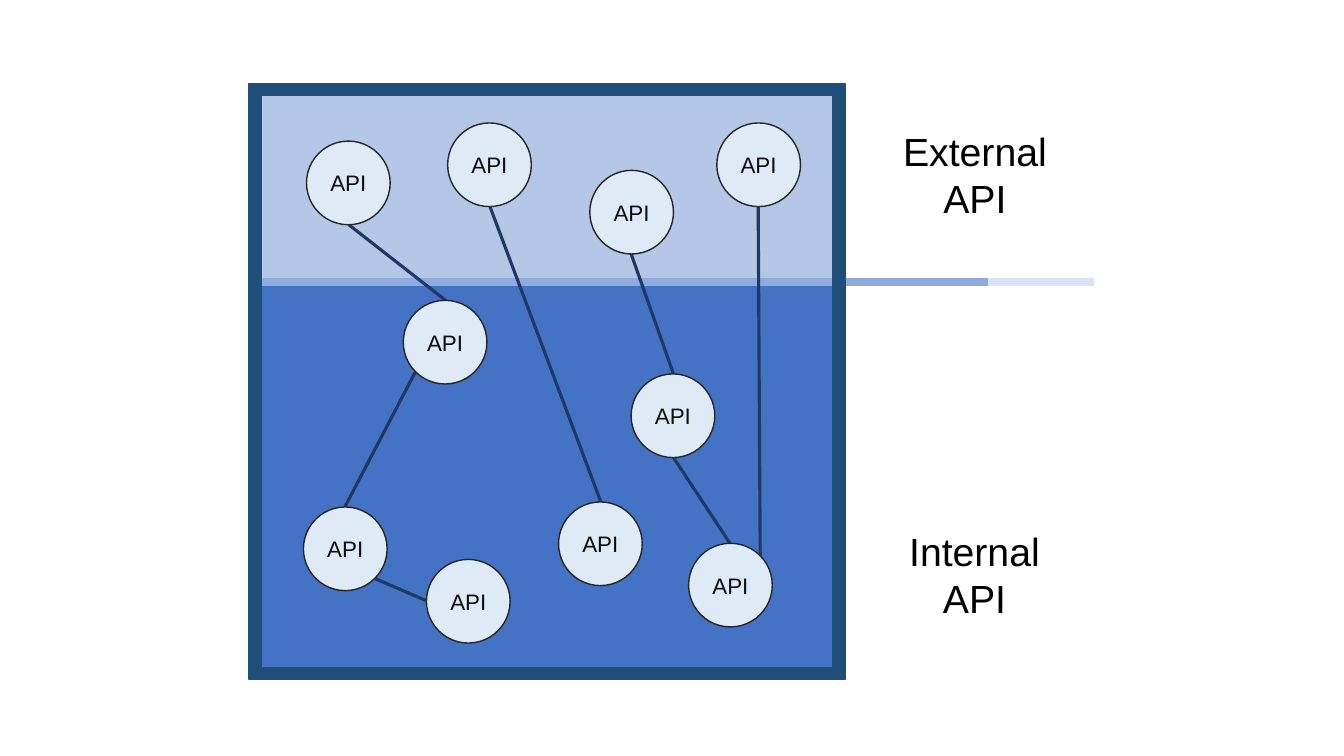
import math
import pptx
import pptx.util
import pptx.dml.color
import pptx.enum.shapes
import pptx.enum.text
import pptx.oxml.ns
import lxml.etree

PX = 9144
SIZE = 83
SHAPE = pptx.enum.shapes.MSO_SHAPE
INK = {
    "air": "B4C7E7",
    "water": "4472C4",
    "level": "8FAADC",
    "fade": "DAE3F3",
    "link": "203864",
    "node": "DEEBF7",
    "edge": "262626",
    "text": "0D0D0D",
    "label": "000000",
    "frame": "1F4E79",
}
NODES = {
    "swim": (307, 415),
    "floor": (176, 472),
    "rock": (54, 420),
    "reef": (436, 456),
    "west": (57, 57),
    "north": (197, 39),
    "mid": (338, 86),
    "east": (464, 39),
    "hub": (153, 215),
    "relay": (379, 288),
}
ANGLES = {"top": 270, "left": 180, "low": 90, "low left": 135,
          "low right": 45, "top right": 315}
LINKS = [
    ("floor", "left", "rock", "low right"),
    ("rock", "top", "hub", "low left"),
    ("north", "low", "swim", "top"),
    ("relay", "low", "reef", "top"),
    ("relay", "top", "mid", "low"),
    ("hub", "top", "west", "low"),
    ("east", "low", "reef", "top right"),
]


def emu(*sizes):
    return [pptx.util.Emu(size * PX) for size in sizes]


def color(name):
    return pptx.dml.color.RGBColor.from_string(INK[name])


def add_form(shapes, kind, box, fill, edge=None):
    form = shapes.add_shape(kind, *emu(*box))
    form.shadow.inherit = False
    form.fill.solid()
    form.fill.fore_color.rgb = color(fill)
    if edge:
        form.line.color.rgb = color(edge)
        form.line.width = pptx.util.Pt(1)
    else:
        form.line.fill.background()
    return form


def add_line(shapes, start, end, ink, width):
    kind = pptx.enum.shapes.MSO_CONNECTOR.STRAIGHT
    line = shapes.add_connector(kind, *emu(*start, *end))
    line.line.color.rgb = color(ink)
    line.line.width = pptx.util.Pt(width)
    props = line._element.spPr
    lxml.etree.SubElement(props, pptx.oxml.ns.qn("a:effectLst"))


def write(frame, lines, size, ink):
    frame.text = "\n".join(lines)
    for para in frame.paragraphs:
        para.alignment = pptx.enum.text.PP_ALIGN.CENTER
        para.font.name = "Arial"
        para.font.size = pptx.util.Pt(size)
        para.font.color.rgb = color(ink)


def add_tank(shapes, box):
    left, top, width, height = box
    level = top + height // 3
    depth = level - top
    add_form(shapes, SHAPE.RECTANGLE, (left, top, width, depth), "air")
    add_form(shapes, SHAPE.RECTANGLE,
             (left, level, width, height - depth), "water")
    shore = shapes.add_group_shape().shapes
    add_line(shore, (left + 838, level), (left + 731, level), "fade", 6)
    add_form(shore, SHAPE.RECTANGLE, (left, top + 2, width, depth), "air")
    add_line(shore, (left, level), (left + 733, level), "level", 6)


def find_site(box, node, side):
    angle = math.radians(ANGLES[side])
    half = SIZE / 2
    x, y = NODES[node]
    return (round(box[0] + x + half + half * math.cos(angle)),
            round(box[1] + y + half + half * math.sin(angle)))


def add_web(shapes, box):
    for head, out, tail, into in LINKS:
        add_line(shapes, find_site(box, head, out),
                 find_site(box, tail, into), "link", 2.25)
    for x, y in NODES.values():
        node = add_form(shapes, SHAPE.OVAL,
                        (box[0] + x, box[1] + y, SIZE, SIZE), "node", "edge")
        text = node.text_frame
        text.margin_left = text.margin_right = 0
        text.vertical_anchor = pptx.enum.text.MSO_ANCHOR.MIDDLE
        write(text, ["API"], 16, "text")


def add_frame(shapes, box):
    frame = add_form(shapes, SHAPE.FRAME, box, "frame", "frame")
    frame.adjustments[0] = 0.02


def add_label(shapes, box, word):
    label = shapes.add_textbox(*emu(*box))
    text = label.text_frame
    text.word_wrap = False
    text.auto_size = pptx.enum.text.MSO_AUTO_SIZE.SHAPE_TO_FIT_TEXT
    write(text, [word, "API"], 28, "label")


def main():
    deck = pptx.Presentation()
    deck.slide_width, deck.slide_height = emu(1333, 750)
    shapes = deck.slides.add_slide(deck.slide_layouts[6]).shapes
    tank = (247, 83, 591, 591)
    add_tank(shapes, tank)
    add_label(shapes, (885, 121, 164, 104), "External")
    add_label(shapes, (891, 518, 151, 104), "Internal")
    add_web(shapes, tank)
    add_frame(shapes, tank)
    deck.save("out.pptx")


if __name__ == "__main__":
    main()
